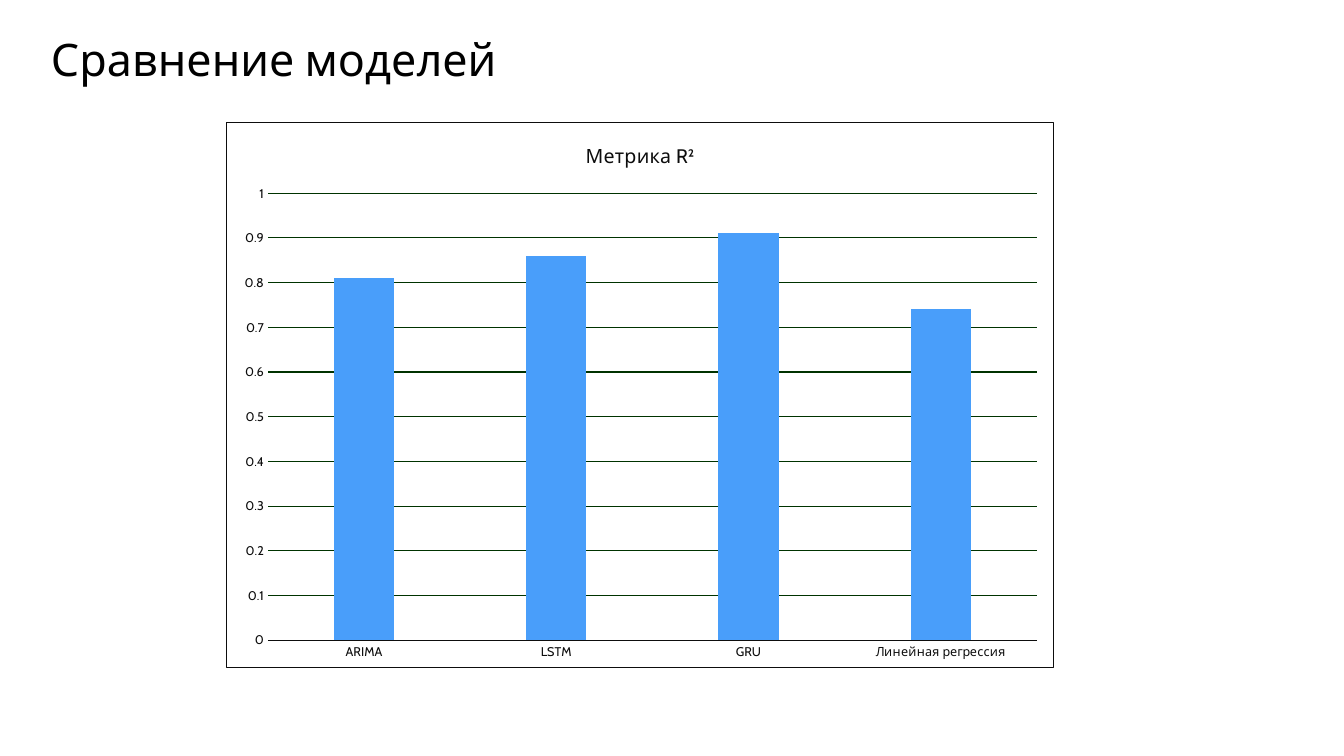
from lxml.etree import SubElement
from pptx import Presentation
from pptx.chart.data import CategoryChartData
from pptx.dml.color import RGBColor
from pptx.enum.chart import XL_CHART_TYPE, XL_TICK_MARK
from pptx.enum.text import MSO_ANCHOR, PP_ALIGN
from pptx.oxml import parse_xml
from pptx.oxml.ns import nsdecls, qn
from pptx.util import Pt

SCALE = 914400 / 100.8
FONT = "Cabin"
COLORS = {"black": "000000", "ink": "0D0D0D", "grid": "003300", "bar": "499EFA"}
SCORES = {"ARIMA": 0.81, "LSTM": 0.86, "GRU": 0.91, "Линейная регрессия": 0.74}


def px(num):
    return round(num * SCALE)


def color(name):
    return RGBColor.from_string(COLORS[name])


def style(font, size, name):
    font.name = FONT
    font.size = Pt(size)
    font.bold = False
    font.color.rgb = color(name)


def stroke(line, name):
    line.width = Pt(0.75)
    line.color.rgb = color(name)


def add_title(slide, text, *box):
    frame = slide.shapes.add_textbox(*map(px, box)).text_frame
    frame.word_wrap = True
    frame.vertical_anchor = MSO_ANCHOR.MIDDLE
    frame.margin_left = frame.margin_right = px(6)
    frame.margin_top = frame.margin_bottom = px(6)
    para = frame.paragraphs[0]
    para.text = text
    para.alignment = PP_ALIGN.CENTER
    style(para.font, 32, "black")


def set_axis(axis):
    axis.major_tick_mark = XL_TICK_MARK.NONE
    axis.minor_tick_mark = XL_TICK_MARK.NONE
    style(axis.tick_labels.font, 9, "ink")


def set_plot(chart, **spot):
    area = chart.plots[0]._element.getparent()
    for old in area.findall(qn("c:layout")):
        area.remove(old)
    layout = parse_xml(f"<c:layout {nsdecls('c')}/>")
    manual = SubElement(layout, qn("c:manualLayout"))
    parts = {"layoutTarget": "inner", "xMode": "edge", "yMode": "edge", **spot}
    for tag, val in parts.items():
        SubElement(manual, qn(f"c:{tag}")).set("val", str(val))
    area.insert(0, layout)


def set_border(chart):
    border = parse_xml(
        f'<c:spPr {nsdecls("c", "a")}><a:noFill/><a:ln w="{Pt(0.75)}"><a:solidFill>'
        f'<a:srgbClr val="{COLORS["ink"]}"/></a:solidFill></a:ln></c:spPr>'
    )
    chart._chartSpace.find(qn("c:chart")).addnext(border)


def add_bars(slide, title, scores, *box):
    data = CategoryChartData()
    data.categories = list(scores)
    data.add_series("Series 1", list(scores.values()))
    kind = XL_CHART_TYPE.COLUMN_CLUSTERED
    chart = slide.shapes.add_chart(kind, *map(px, box), data).chart
    style(chart.font, 10, "ink")
    chart.has_legend = False

    chart.has_title = True
    para = chart.chart_title.text_frame.paragraphs[0]
    para.text = title
    style(para.font, 14, "ink")
    chart.chart_title.include_in_layout = False

    plot = chart.plots[0]
    plot.gap_width = 219
    plot.overlap = -27
    plot.vary_by_categories = False
    fill = plot.series[0].format.fill
    fill.solid()
    fill.fore_color.rgb = color("bar")

    set_axis(chart.category_axis)
    stroke(chart.category_axis.format.line, "ink")
    axis = chart.value_axis
    set_axis(axis)
    axis.minimum_scale = 0
    axis.maximum_scale = 1
    axis.major_unit = 0.1
    axis.format.line.fill.background()
    axis.has_major_gridlines = True
    stroke(axis.major_gridlines.format.line, "grid")
    set_plot(chart, x=0.05, y=0.13, w=0.93, h=0.82)
    set_border(chart)


def main():
    deck = Presentation()
    deck.slide_width = px(1344)
    deck.slide_height = px(756)
    slide = deck.slides.add_slide(deck.slide_layouts[6])
    add_title(slide, "Сравнение моделей", 0, 26, 548, 66)
    add_bars(slide, "Метрика R²", SCORES, 226, 122, 828, 546)
    deck.save("out.pptx")


if __name__ == "__main__":
    main()
